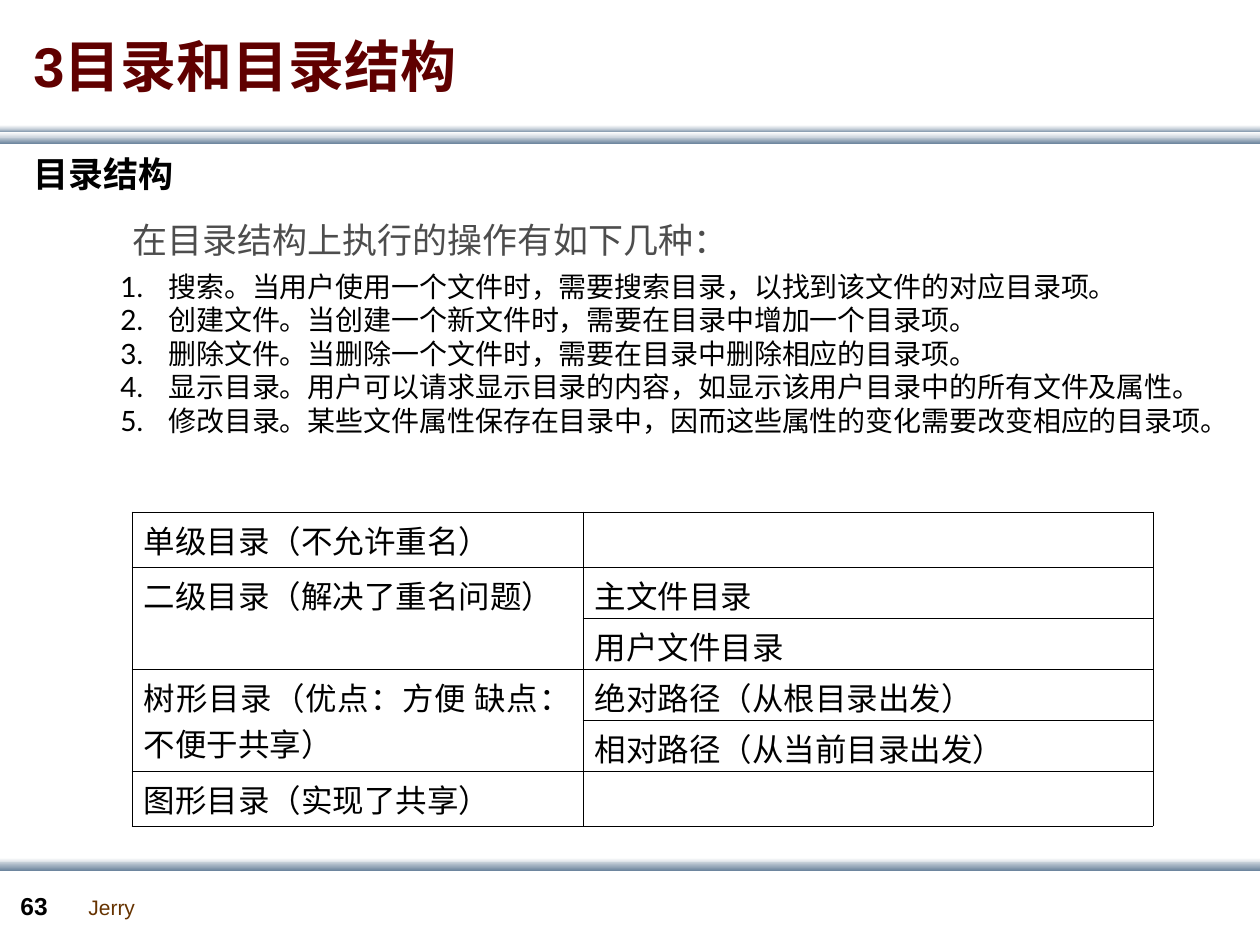
from lxml import etree
from pptx import Presentation
from pptx import util as u
from pptx.dml.color import RGBColor
from pptx.enum import lang, shapes, text
from pptx.oxml.ns import qn

SCALE = 914400 / 126
COLORS = {
    "white": "FFFFFF",
    "mist": "C8D1DA",
    "steel": "6A839C",
    "maroon": "600000",
    "brown": "663300",
    "gray": "4D4D4D",
    "black": "000000",
}
CJK = "Noto Sans CJK SC"


def px(length):
    return u.Emu(round(length * SCALE))


def rgb(name):
    return RGBColor.from_string(COLORS[name])


class SlideBuilder:
    def __init__(self, slide):
        self.slide = slide

    def stripe(self, top, height, start, end):
        shape = self.slide.shapes.add_shape(
            shapes.MSO_SHAPE.RECTANGLE, 0, px(top), px(1260), px(height))
        shape.shadow.inherit = False
        shape.line.fill.background()
        shape.fill.gradient()
        shape.fill.gradient_angle = 270
        for stop, color in zip(shape.fill.gradient_stops, (start, end)):
            stop.color.rgb = rgb(color)

    def run(self, paragraph, words, size, color="black", font=CJK, asian=CJK, bold=False):
        run = paragraph.add_run()
        run.text = words
        run.font.size = u.Pt(size)
        run.font.bold = bold
        run.font.color.rgb = rgb(color)
        run.font.name = font
        run.font.language_id = lang.MSO_LANGUAGE_ID.SIMPLIFIED_CHINESE
        latin = run.font._element.find(qn("a:latin"))
        latin.addnext(latin.makeelement(qn("a:ea"), {"typeface": asian}))

    def frame(self, left, top, width, height, anchor=text.MSO_ANCHOR.TOP):
        frame = self.slide.shapes.add_textbox(
            px(left), px(top), px(width), px(height)).text_frame
        frame.word_wrap = True
        frame.vertical_anchor = anchor
        return frame

    def label(self, box, words, size, anchor=text.MSO_ANCHOR.TOP, **style):
        self.run(self.frame(*box, anchor).paragraphs[0], words, size, **style)

    def numbered_list(self, box, items, size, **style):
        frame = self.frame(*box)
        for index, item in enumerate(items):
            paragraph = frame.add_paragraph() if index else frame.paragraphs[0]
            paragraph.alignment = text.PP_ALIGN.JUSTIFY
            properties = paragraph._p.get_or_add_pPr()
            properties.set("marL", str(px(48)))
            properties.set("indent", str(-px(48)))
            etree.SubElement(properties, qn("a:buFont"), typeface=CJK)
            etree.SubElement(properties, qn("a:buAutoNum"), type="arabicPeriod")
            self.run(paragraph, item, size, **style)

    def border(self, cell):
        properties = cell._tc.get_or_add_tcPr()
        for index, side in enumerate(("lnL", "lnR", "lnT", "lnB")):
            line = etree.Element(qn("a:" + side), w=str(u.Pt(0.45)))
            fill = etree.SubElement(line, qn("a:solidFill"))
            etree.SubElement(fill, qn("a:srgbClr"), val=COLORS["black"])
            properties.insert(index, line)

    def table(self, left, top, widths, heights, rows, merges, size):
        table = self.slide.shapes.add_table(
            len(rows), len(widths), px(left), px(top),
            px(sum(widths)), px(sum(heights))).table
        table.first_row = table.horz_banding = False
        for column, width in zip(table.columns, widths):
            column.width = px(width)
        for row, height, entries in zip(table.rows, heights, rows):
            row.height = px(height)
            for cell, words in zip(row.cells, entries):
                cell.fill.background()
                cell.margin_left = cell.margin_right = px(12)
                cell.margin_top, cell.margin_bottom = px(5), 0
                self.border(cell)
                paragraph = cell.text_frame.paragraphs[0]
                paragraph.alignment = text.PP_ALIGN.JUSTIFY
                if words:
                    self.run(paragraph, words, size)
                else:
                    paragraph.font.size = u.Pt(size)
        for first, last in merges:
            table.cell(first, 0).merge(table.cell(last, 0))


def main():
    presentation = Presentation()
    presentation.slide_width, presentation.slide_height = px(1260), px(945)
    builder = SlideBuilder(presentation.slides.add_slide(presentation.slide_layouts[6]))

    for top, height, start, end in (
        (137, 7, "mist", "steel"),
        (129, 4, "mist", "steel"),
        (132, 6, "white", "mist"),
        (125, 4, "white", "mist"),
        (858, 6, "white", "mist"),
        (862, 9, "mist", "steel"),
    ):
        builder.stripe(top, height, start, end)

    builder.label((76, 888, 72, 38), "Jerry", 12, color="brown", font="Arial")
    builder.label((8, 885, 69, 43), "63", 14, font="Arial", bold=True)
    builder.label((21, 25, 631, 81), "3目录和目录结构", 32, text.MSO_ANCHOR.MIDDLE,
                  color="maroon", font="Arial", bold=True)
    builder.table(
        132, 512, (451, 570), (55, 51, 51, 51, 51, 55),
        (
            ("单级目录（不允许重名）", ""),
            ("二级目录（解决了重名问题）", "主文件目录"),
            ("", "用户文件目录"),
            ("树形目录（优点：方便 缺点：不便于共享）", "绝对路径（从根目录出发）"),
            ("", "相对路径（从当前目录出发）"),
            ("图形目录（实现了共享）", ""),
        ),
        ((1, 2), (3, 4)), 18)
    builder.label((21, 146, 631, 55), "目录结构", 20, asian="Lato", bold=True)
    builder.numbered_list((108, 263, 1140, 181), (
        "搜索。当用户使用一个文件时，需要搜索目录，以找到该文件的对应目录项。",
        "创建文件。当创建一个新文件时，需要在目录中增加一个目录项。",
        "删除文件。当删除一个文件时，需要在目录中删除相应的目录项。",
        "显示目录。用户可以请求显示目录的内容，如显示该用户目录中的所有文件及属性。",
        "修改目录。某些文件属性保存在目录中，因而这些属性的变化需要改变相应的目录项。",
    ), 16, asian="Lato")
    builder.label((120, 212, 631, 55), "在目录结构上执行的操作有如下几种：", 20,
                  color="gray", font="Lato", asian="Lato")
    presentation.save("out.pptx")


if __name__ == "__main__":
    main()
